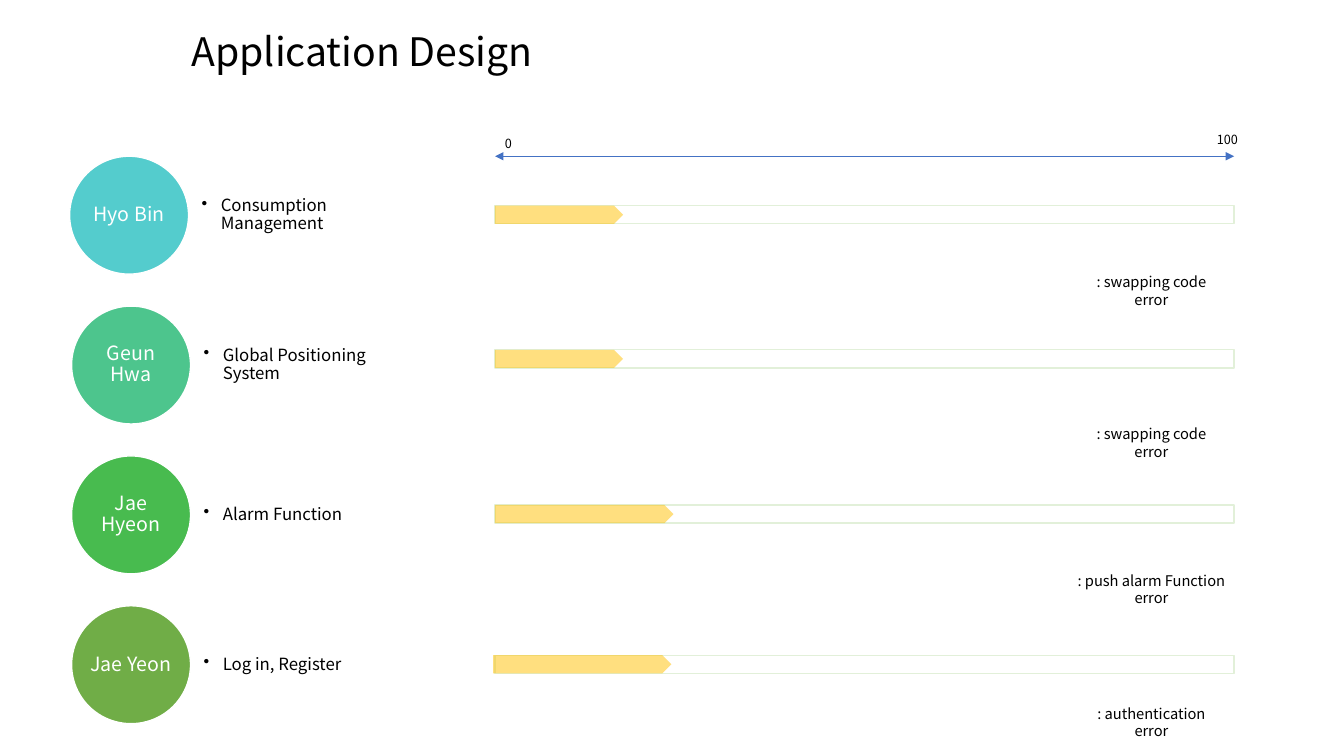
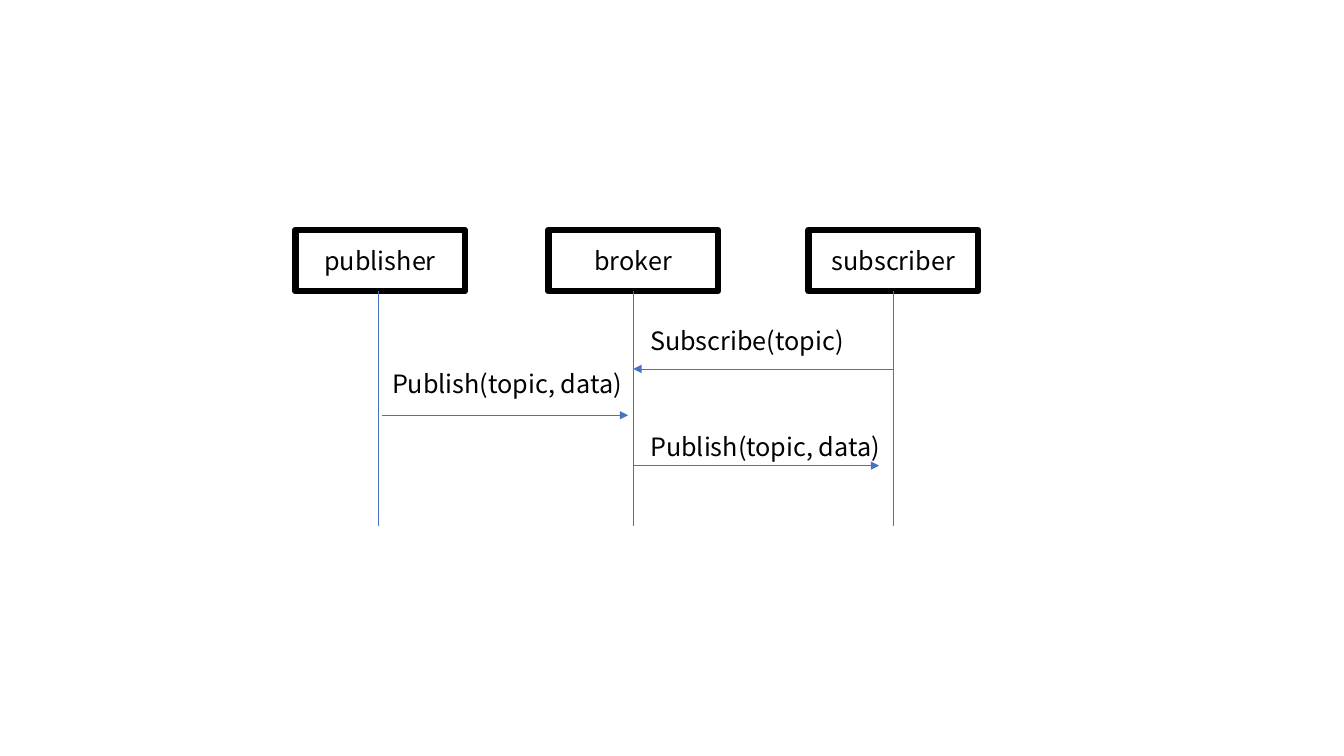
from lxml import etree
from pptx import Presentation
from pptx.dml.color import RGBColor
from pptx.enum.shapes import MSO_CONNECTOR, MSO_SHAPE
from pptx.enum.text import MSO_ANCHOR, MSO_AUTO_SIZE, PP_ALIGN
from pptx.oxml.ns import qn
from pptx.util import Inches, Pt

STRAIGHT = MSO_CONNECTOR.STRAIGHT
OVAL, RECTANGLE, PENTAGON = MSO_SHAPE.OVAL, MSO_SHAPE.RECTANGLE, MSO_SHAPE.PENTAGON
TOP, MIDDLE = MSO_ANCHOR.TOP, MSO_ANCHOR.MIDDLE
LEFT, CENTER = PP_ALIGN.LEFT, PP_ALIGN.CENTER
NO_AUTOFIT = MSO_AUTO_SIZE.NONE

FONT = "Noto Sans CJK KR"
BLACK = RGBColor(0x00, 0x00, 0x00)
WHITE = RGBColor(0xFF, 0xFF, 0xFF)
BLUE = RGBColor(0x44, 0x72, 0xC4)
AMBER = RGBColor(0xFF, 0xC0, 0x00)
PALE_GREEN = RGBColor(0xE2, 0xF0, 0xD9)
TURQUOISE = RGBColor(0x54, 0xCC, 0xCD)
SEA_GREEN = RGBColor(0x4D, 0xC5, 0x8D)
GREEN = RGBColor(0x48, 0xBB, 0x4F)
OLIVE = RGBColor(0x70, 0xAD, 0x47)


def write_text(shape, text, size, color=BLACK, align=LEFT, anchor=TOP, margin=None, spacing=None):
    """Fill a shape with one paragraph; margin is in inches on all four sides."""
    frame = shape.text_frame
    frame_format = {"word_wrap": True, "auto_size": NO_AUTOFIT, "vertical_anchor": anchor}
    if margin is not None:
        for side in ("left", "top", "right", "bottom"):
            frame_format[f"margin_{side}"] = Inches(margin)
    for name, value in frame_format.items():
        setattr(frame, name, value)
    para = frame.paragraphs[0]
    para.alignment = align
    para.line_spacing = spacing
    span = para.add_run()
    span.text = text
    for name, value in {"name": FONT, "size": Pt(size)}.items():
        setattr(span.font, name, value)
    span.font.color.rgb = color
    return para


def add_line(slide, start, end, arrows=()):
    """Draw a thin line; arrows names its ends, headEnd before tailEnd."""
    line = slide.shapes.add_connector(STRAIGHT, *map(Inches, (*start, *end)))
    line.line.color.rgb = BLUE
    line.line.width = Pt(0.5)
    outline = line.line._get_or_add_ln()
    for arrow in arrows:
        etree.SubElement(outline, qn(f"a:{arrow}"), type="triangle")
    etree.SubElement(line._element.spPr, qn("a:effectLst"))


deck = Presentation()
deck.slide_width, deck.slide_height = Inches(13.33), Inches(7.5)
title_only, blank = deck.slide_layouts[5], deck.slide_layouts[6]

# Progress of each member
page = deck.slides.add_slide(title_only)
title = page.shapes.title
title_place = {"left": 1.8, "top": 0.22, "width": 4.09, "height": 0.57}
for name, value in title_place.items():
    setattr(title, name, Inches(value))
write_text(title, "Application Design", 28)

ROW_TOP, ROW_PITCH, ROW_HEIGHT = 1.55, 4.46 / 3, 1.17
CIRCLE_WIDTH, TASK_OFFSET, TASK_WIDTH = 1.18, 1.31, 1.77
BULLET_INDENT = Inches(0.19)
BAR_LEFT, BAR_WIDTH, BAR_HEIGHT = 4.91, 7.33, 0.18
NOTE_CENTER, NOTE_HEIGHT = 11.42, 0.28

# name, circle colour, circle left, task, bar top, progress left, progress width,
# note, note top, note width
members = [
    ("Hyo Bin", TURQUOISE, 0.69, "Consumption Management", 2.04, 4.91, 1.27,
     ": swapping code error", 2.66, 1.64),
    ("Geun Hwa", SEA_GREEN, 0.71, "Global Positioning System", 3.47, 4.91, 1.27,
     ": swapping code error", 4.17, 1.64),
    ("Jae Hyeon", GREEN, 0.71, "Alarm Function", 5.01, 4.91, 1.77,
     ": push alarm Function error", 5.62, 2.02),
    ("Jae Yeon", OLIVE, 0.71, "Log in, Register", 6.5, 4.89, 1.77,
     ": authentication error", 6.94, 1.62),
]
for row, member in enumerate(members):
    (person, color, circle_left, task, bar_top, progress_left, progress_width,
     note, note_top, note_width) = member
    top = ROW_TOP + row * ROW_PITCH

    circle = page.shapes.add_shape(
        OVAL, *map(Inches, (circle_left, top, CIRCLE_WIDTH, ROW_HEIGHT)))
    circle.shadow.inherit = False
    circle.fill.solid()
    circle.fill.fore_color.rgb = color
    circle.line.color.rgb = WHITE
    circle.line.width = Pt(1)
    write_text(circle, person, 14, WHITE, CENTER, MIDDLE, margin=0.01, spacing=0.9)

    task_box = page.shapes.add_textbox(
        *map(Inches, (circle_left + TASK_OFFSET, top, TASK_WIDTH, ROW_HEIGHT)))
    para = write_text(task_box, task, 12, anchor=MIDDLE, margin=0, spacing=0.9)
    properties = para._p.get_or_add_pPr()
    properties.set("marL", str(BULLET_INDENT))
    properties.set("indent", str(-BULLET_INDENT))
    etree.SubElement(properties, qn("a:buChar"), char="•")

    bar = page.shapes.add_shape(
        RECTANGLE, *map(Inches, (BAR_LEFT, bar_top, BAR_WIDTH, BAR_HEIGHT)))
    bar.shadow.inherit = False
    bar.fill.background()
    bar.line.color.rgb = PALE_GREEN
    bar.line.width = Pt(1)

    progress = page.shapes.add_shape(
        PENTAGON, *map(Inches, (progress_left, bar_top, progress_width, BAR_HEIGHT)))
    progress.shadow.inherit = False
    progress.fill.solid()
    progress.fill.fore_color.rgb = AMBER
    progress_color = progress._element.spPr.find(f".//{qn('a:srgbClr')}")
    etree.SubElement(progress_color, qn("a:alpha"), val="50000")
    progress.line.fill.background()

    note_box = page.shapes.add_textbox(
        *map(Inches, (NOTE_CENTER - note_width / 2, note_top, note_width, NOTE_HEIGHT)))
    write_text(note_box, note, 10.5, align=CENTER)

add_line(page, (BAR_LEFT, ROW_TOP), (BAR_LEFT + BAR_WIDTH, ROW_TOP), ("headEnd", "tailEnd"))
for label, left, top, width in (("0", 4.91, 1.3, 0.27), ("100", 11.97, 1.26, 0.54)):
    label_box = page.shapes.add_textbox(*map(Inches, (left, top, width, 0.25)))
    write_text(label_box, label, 9)

# Publish and subscribe sequence
page = deck.slides.add_slide(blank)
ROLE_TOP, ROLE_WIDTH, ROLE_HEIGHT = 2.28, 1.68, 0.61
LIFELINE_TOP, LIFELINE_BOTTOM = ROLE_TOP + ROLE_HEIGHT, 5.22
PUBLISHER, BROKER, SUBSCRIBER = 3.75, 6.28, 8.86

# role, box left, lifeline position
roles = [
    ("publisher", 2.93, PUBLISHER),
    ("broker", 5.44, BROKER),
    ("subscriber", 8.02, SUBSCRIBER),
]
for role, left, lifeline in roles:
    role_box = page.shapes.add_shape(
        RECTANGLE, *map(Inches, (left, ROLE_TOP, ROLE_WIDTH, ROLE_HEIGHT)))
    role_box.shadow.inherit = False
    role_box.fill.background()
    role_box.line.color.rgb = BLACK
    role_box.line.width = Pt(4.5)
    write_text(role_box, role, 18, align=CENTER, anchor=MIDDLE)
    add_line(page, (lifeline, LIFELINE_TOP), (lifeline, LIFELINE_BOTTOM))

# message, text left, text top, arrow start, arrow end, arrow height
messages = [
    ("Subscribe(topic)", 6.35, 3.18, SUBSCRIBER, BROKER, 3.66),
    ("Publish(topic, data)", 3.79, 3.6, 3.79, 6.23, 4.12),
    ("Publish(topic, data)", 6.35, 4.23, BROKER, 8.72, 4.62),
]
for message, left, top, start, end, height in messages:
    add_line(page, (start, height), (end, height), ("tailEnd",))
    message_box = page.shapes.add_textbox(*map(Inches, (left, top, 2.77, 0.4)))
    write_text(message_box, message, 18)

deck.save("out.pptx")
